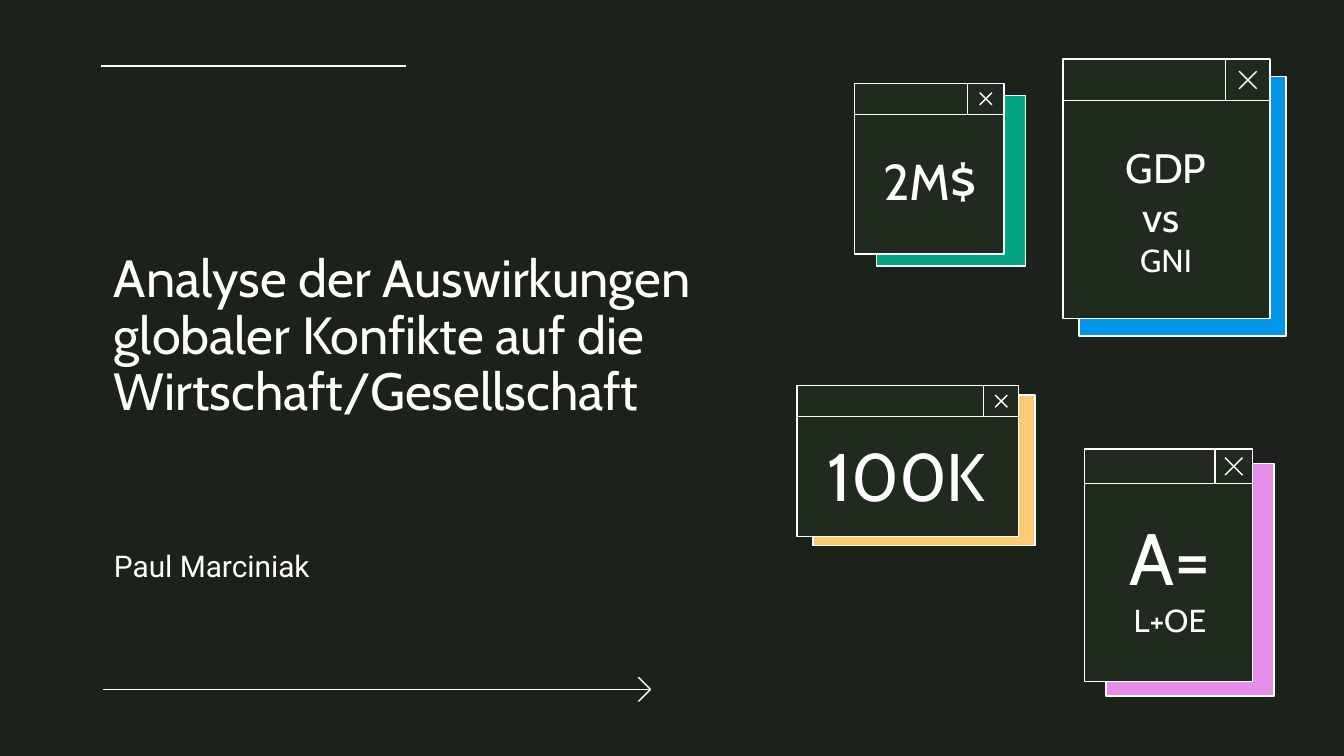
from dataclasses import dataclass

import pptx
import pptx.dml.color
import pptx.enum.shapes
import pptx.enum.text
import pptx.oxml.ns
import pptx.util
from lxml import etree

Inches = pptx.util.Inches
Pt = pptx.util.Pt
Align = pptx.enum.text.PP_ALIGN
WHITE = "FFFFFF"
DARK = "1B221A"
PANEL = "202A1F"


@dataclass
class Text:
    box: tuple[float, float, float, float]
    lines: list[tuple[str, int]]
    face: str = "Cabin"
    align: Align = Align.CENTER
    space: float = 1.0


@dataclass
class Window:
    left: float
    top: float
    width: float
    height: float
    bar: float
    button: float
    cross: float
    shift: tuple[float, float]
    color: str
    text: Text


def paint(fill, color: str) -> None:
    fill.solid()
    fill.fore_color.rgb = pptx.dml.color.RGBColor.from_string(color)


def draw_line(slide, x1: float, y1: float, x2: float, y2: float) -> None:
    kind = pptx.enum.shapes.MSO_CONNECTOR.STRAIGHT
    line = slide.shapes.add_connector(kind, Inches(x1), Inches(y1), Inches(x2), Inches(y2))
    paint(line.line.fill, WHITE)
    line.line.width = Pt(0.75)
    etree.SubElement(line._element.spPr, pptx.oxml.ns.qn("a:effectLst"))


def draw_rect(slide, x: float, y: float, w: float, h: float, color: str) -> None:
    kind = pptx.enum.shapes.MSO_SHAPE.RECTANGLE
    rect = slide.shapes.add_shape(kind, Inches(x), Inches(y), Inches(w), Inches(h))
    rect.shadow.inherit = False
    paint(rect.fill, color)
    paint(rect.line.fill, WHITE)
    rect.line.width = Pt(0.75)


def draw_text(slide, text: Text) -> None:
    frame = slide.shapes.add_textbox(*map(Inches, text.box)).text_frame
    frame.word_wrap = True
    frame.vertical_anchor = pptx.enum.text.MSO_ANCHOR.MIDDLE
    frame.margin_left = frame.margin_right = Inches(0.1)
    frame.margin_top = frame.margin_bottom = Inches(0.1)
    for i, (words, size) in enumerate(text.lines):
        para = frame.add_paragraph() if i else frame.paragraphs[0]
        para.text = words
        para.alignment = text.align
        para.line_spacing = text.space
        para.font.name = text.face
        para.font.size = Pt(size)
        paint(para.font.fill, WHITE)


def draw_window(slide, win: Window) -> None:
    x, y, w, h = win.left, win.top, win.width, win.height
    right, base, split = x + w, y + win.bar, x + w - win.button
    dx, dy = win.shift
    draw_rect(slide, x + dx, y + dy, w, h, win.color)
    draw_rect(slide, x, y, w, h, PANEL)
    midx, midy, half = (split + right) / 2, (y + base) / 2, win.cross / 2
    for sign in (-1, 1):
        draw_line(slide, midx - half, midy + sign * half, midx + half, midy - sign * half)
    draw_line(slide, x, base, right, base)
    draw_line(slide, split, y, split, base)
    draw_text(slide, win.text)


WINDOWS = [
    Window(6.36, 0.62, 1.11, 1.27, 0.23, 0.27, 0.09, (0.16, 0.09), "02A681",
           Text((6.39, 0.91, 1.06, 0.86), [("2M$", 27)])),
    Window(7.91, 0.44, 1.54, 1.93, 0.31, 0.33, 0.13, (0.12, 0.13), "0294E7",
           Text((8.05, 0.9, 1.25, 1.33), [("GDP", 22), ("vs ", 22), ("GNI", 17)])),
    Window(8.07, 3.34, 1.25, 1.73, 0.26, 0.28, 0.13, (0.16, 0.11), "E58DE9",
           Text((8.21, 3.62, 0.99, 1.33), [("A=", 39), ("L+OE", 17)])),
    Window(5.93, 2.87, 1.65, 1.12, 0.23, 0.26, 0.09, (0.12, 0.07), "FDCB72",
           Text((5.99, 3.1, 1.51, 0.86), [("100K", 36)])),
]
TITLE = Text(
    (0.75, 1.2, 5.66, 2.62),
    [("Analyse der Auswirkungen globaler Konfikte auf die Wirtschaft/Gesellschaft", 28)],
    align=Align.LEFT, space=0.9)
AUTHOR = Text((0.75, 3.98, 4.77, 0.45), [("Paul Marciniak", 16)], "Roboto", Align.LEFT)


def main() -> None:
    deck = pptx.Presentation()
    deck.slide_width = Inches(10)
    deck.slide_height = deck.slide_width * 9 // 16
    slide = deck.slides.add_slide(deck.slide_layouts[6])
    paint(slide.background.fill, DARK)
    tip, level = 4.84, 5.13
    draw_line(slide, tip, level, 0.77, level)
    for rise in (0.09, -0.09):
        draw_line(slide, tip, level, tip - 0.09, level + rise)
    draw_line(slide, 3.02, 0.49, 0.75, 0.49)
    for win in WINDOWS:
        draw_window(slide, win)
    draw_text(slide, TITLE)
    draw_text(slide, AUTHOR)
    deck.save("out.pptx")


if __name__ == "__main__":
    main()
